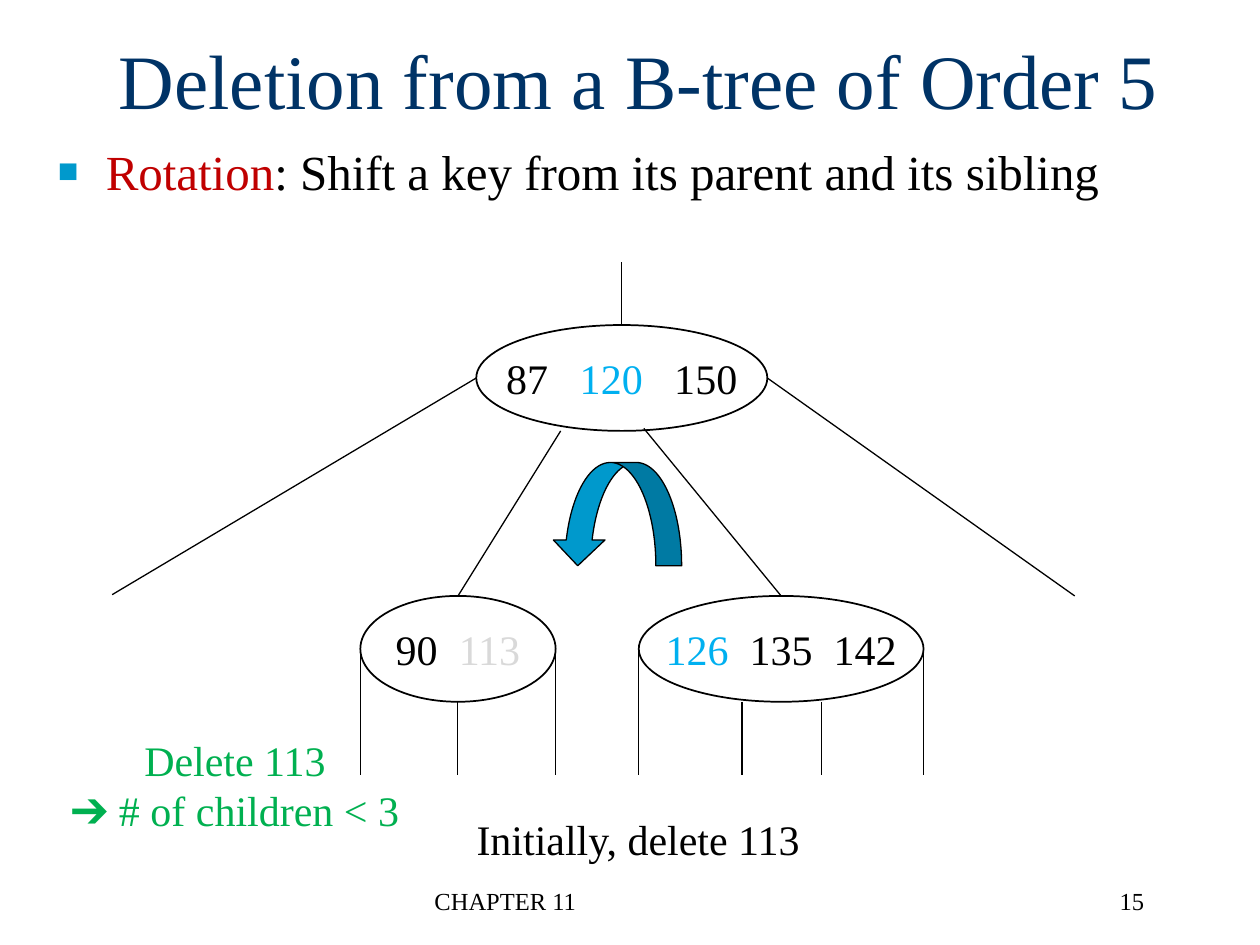
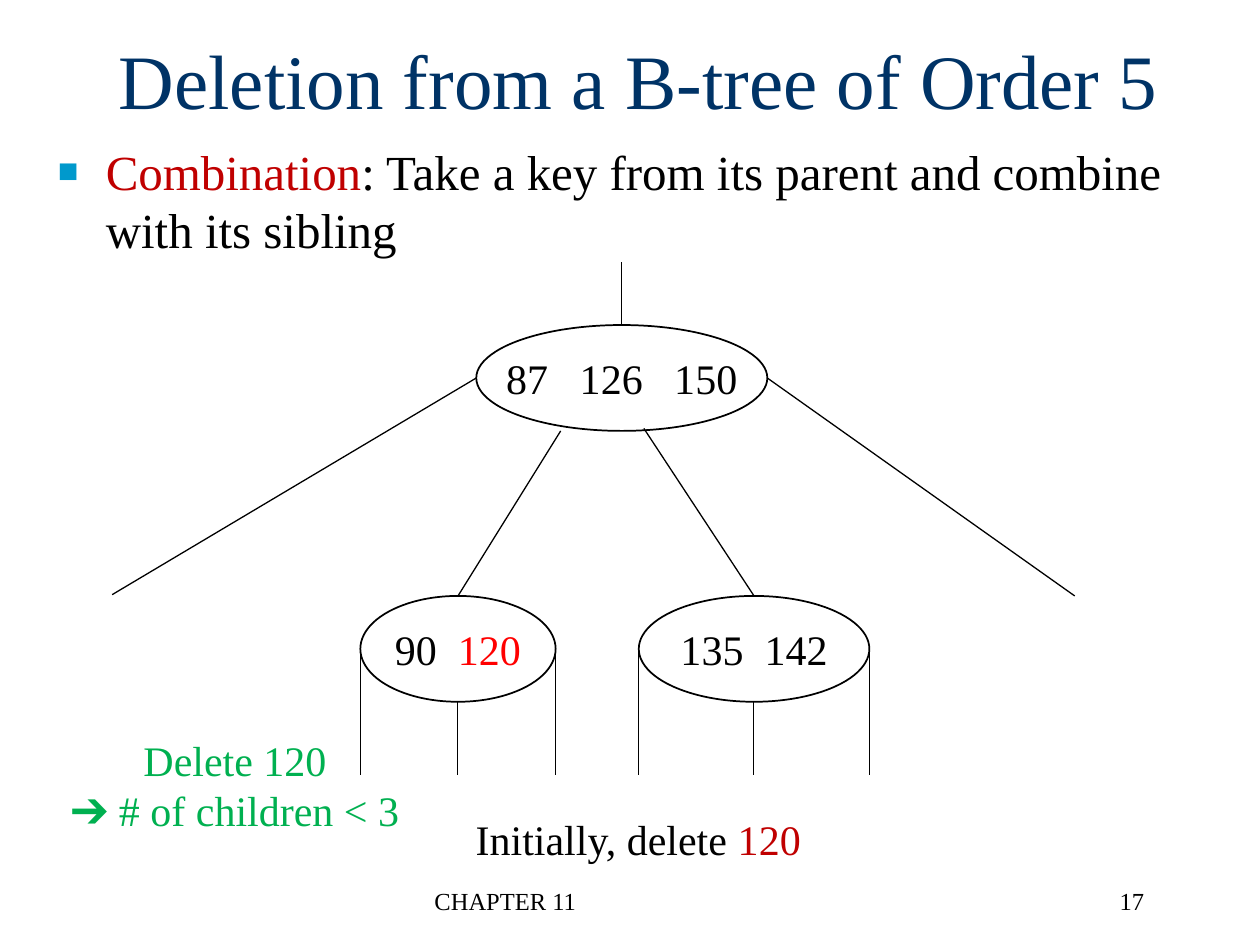
from lxml import etree
from pptx import Presentation
from pptx.dml.color import RGBColor
from pptx.enum.shapes import MSO_CONNECTOR, MSO_SHAPE
from pptx.enum.text import MSO_ANCHOR, MSO_AUTO_SIZE, PP_ALIGN
from pptx.oxml.ns import qn
from pptx.util import Inches, Pt

OVAL, ARROW = MSO_SHAPE.OVAL, MSO_SHAPE.CURVED_UP_ARROW
STRAIGHT = MSO_CONNECTOR.STRAIGHT
LEFT, CENTER, RIGHT = PP_ALIGN.LEFT, PP_ALIGN.CENTER, PP_ALIGN.RIGHT
TOP, MIDDLE = MSO_ANCHOR.TOP, MSO_ANCHOR.MIDDLE
FIXED = MSO_AUTO_SIZE.NONE

FONT = "Times New Roman"
BLACK, WHITE, NAVY, TEAL = "000000", "FFFFFF", "003366", "0099CC"
CRIMSON, RED, GREEN = "C00000", "FF0000", "00B050"
SKY, GRAY = "00B0F0", "D9D9D9"

# Tree levels
NODE_H = 0.84
ROOT_Y, LEAF_Y, LINK_END = 2.58, 4.73, 6.15
ROOT_X, ROOT_W = 3.78, 2.31
SPACE_W = 6  # width in points of one space at 24 pt


def color(code):
    return RGBColor.from_string(code)


def place(shape, box):
    for name, value in zip(("left", "top", "width", "height"), box):
        setattr(shape, name, Inches(value))


def add_run(para, text, size, code):
    run = para.add_run()
    run.text = text
    style = {"name": FONT, "size": Pt(size), "bold": False}
    for name, value in style.items():
        setattr(run.font, name, value)
    run.font.color.rgb = color(code)
    return run


def set_frame(shape, align=LEFT, anchor=TOP, wrap=True):
    frame = shape.text_frame
    style = {"auto_size": FIXED, "word_wrap": wrap, "vertical_anchor": anchor}
    for name, value in style.items():
        setattr(frame, name, value)
    para = frame.paragraphs[0]
    para.alignment = align
    para.space_before = Pt(0)
    return para


def add_bullet(para):
    props = para._p.get_or_add_pPr()
    props.set("marL", str(Inches(0.38)))
    props.set("indent", str(-Inches(0.38)))
    tint = etree.SubElement(props, qn("a:buClr"))
    etree.SubElement(tint, qn("a:srgbClr"), val=TEAL)
    etree.SubElement(props, qn("a:buSzPct"), val="70000")
    etree.SubElement(props, qn("a:buFont"), typeface="Arial")
    etree.SubElement(props, qn("a:buChar"), char="■")


def add_text(slide, box, lines, size, align=LEFT, wrap=True):
    """Each line is a list of (text, color) parts."""
    shape = slide.shapes.add_textbox(*map(Inches, box))
    para = set_frame(shape, align, wrap=wrap)
    for row, parts in enumerate(lines):
        if row:
            para.add_line_break()
        for text, code in parts:
            add_run(para, text, size, code)


def add_form(slide, kind, box, fill, weight):
    shape = slide.shapes.add_shape(kind, *map(Inches, box))
    shape.shadow.inherit = False
    shape.fill.solid()
    shape.fill.fore_color.rgb = color(fill)
    shape.line.color.rgb = color(BLACK)
    shape.line.width = Pt(weight)
    return shape


def add_node(slide, left, top, width, keys, gap):
    """Draw an oval of (key, color) pairs, set apart by wide spaces."""
    node = add_form(slide, OVAL, (left, top, width, NODE_H), WHITE, 1)
    para = set_frame(node, CENTER, MIDDLE, wrap=False)
    for place_no, (key, code) in enumerate(keys):
        if place_no:
            space = add_run(para, " ", 24, BLACK)
            extra = (gap - 1) * SPACE_W * 100
            space._r.get_or_add_rPr().set("spc", str(extra))
        add_run(para, key, 24, code)
    return node


def add_line(slide, start, end, node=None):
    line = slide.shapes.add_connector(STRAIGHT, *map(Inches, start + end))
    line.line.color.rgb = color(BLACK)
    line.line.width = Pt(0.75)
    etree.SubElement(line._element.spPr, qn("a:effectLst"))
    if node is not None:
        line.end_connect(node, 0)


def add_leaf(slide, left, width, keys, inner):
    """Draw a leaf with a link at each side and at each inner offset."""
    leaf = add_node(slide, left, LEAF_Y, width, keys, 2)
    for shift in (0, width):
        x = left + shift
        add_line(slide, (x, LEAF_Y + NODE_H / 2), (x, LINK_END))
    for shift in inner:
        x = left + shift
        add_line(slide, (x, LEAF_Y + NODE_H), (x, LINK_END))
    return leaf


def add_tree(slide, root, small, large, width, inner):
    node = add_node(slide, ROOT_X, ROOT_Y, ROOT_W, root, 3)
    mid = ROOT_X + ROOT_W / 2
    side = ROOT_Y + NODE_H / 2
    add_line(slide, (mid, 2.08), (mid, ROOT_Y), node)
    # Outer branches
    add_line(slide, (ROOT_X + ROOT_W, side), (8.53, 4.73))
    add_line(slide, (ROOT_X, side), (0.89, 4.72))
    # Leaves and the branches to them
    left = add_leaf(slide, 2.86, 1.55, small, [0.77])
    right = add_leaf(slide, 5.07, width, large, inner)
    add_line(slide, (4.45, 3.42), (3.63, LEAF_Y), left)
    add_line(slide, (5.11, 3.4), (5.07 + width / 2, LEAF_Y), right)


def add_page(deck, number, term, rule, key, key_code):
    slide = deck.slides.add_slide(deck.slide_layouts[1])
    # Title and bullet
    title, body = slide.shapes.title, slide.placeholders[1]
    place(title, (0.64, 0, 8.86, 1.25))
    para = set_frame(title, CENTER, MIDDLE)
    add_run(para, "Deletion from a B-tree of Order 5", 44, NAVY)
    place(body, (0.36, 1.07, 9.41, 5.7))
    para = set_frame(body)
    add_bullet(para)
    add_run(para, term, 28, CRIMSON)
    add_run(para, rule, 28, BLACK)
    # Footer
    add_text(slide, (3.35, 6.98, 3.17, 0.5), [[("CHAPTER 11", BLACK)]], 14)
    add_text(slide, (7.1, 6.98, 2.08, 0.5), [[(number, BLACK)]], 14, RIGHT)
    # Captions
    start = [("Initially, delete ", BLACK), (key, key_code)]
    add_text(slide, (3.67, 6.41, 2.79, 0.5), [start], 24, CENTER, False)
    note = [[("Delete " + key, GREEN)], [("➔ # of children < 3", GREEN)]]
    add_text(slide, (0.42, 5.78, 2.89, 0.91), note, 24, CENTER, False)
    return slide


def main():
    deck = Presentation()
    deck.slide_width, deck.slide_height = Inches(10), Inches(7.5)

    # Rotation
    slide = add_page(deck, "15", "Rotation",
                     ": Shift a key from its parent and its sibling",
                     "113", BLACK)
    add_tree(slide,
             [("87", BLACK), ("120", SKY), ("150", BLACK)],
             [("90", BLACK), ("113", GRAY)],
             [("126", SKY), ("135", BLACK), ("142", BLACK)],
             2.26, [0.82, 1.45])
    turn = add_form(slide, ARROW, (4.38, 3.67, 1.03, 0.82), TEAL, 0.75)
    turn.rotation = 180

    # Combination
    slide = add_page(deck, "17", "Combination",
                     ": Take a key from its parent and combine "
                     "with its sibling",
                     "120", CRIMSON)
    add_tree(slide,
             [("87", BLACK), ("126", BLACK), ("150", BLACK)],
             [("90", BLACK), ("120", RED)],
             [("135", BLACK), ("142", BLACK)],
             1.83, [0.91])

    deck.save("out.pptx")


if __name__ == "__main__":
    main()
